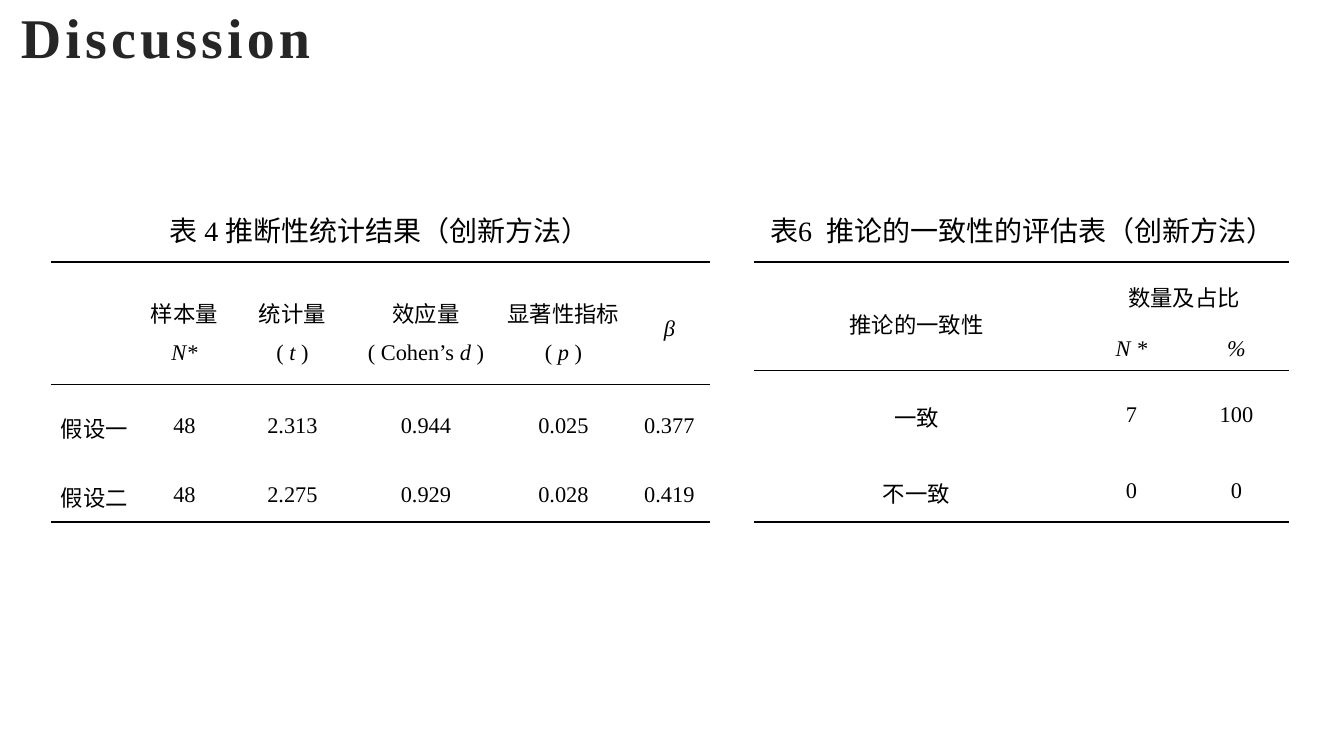
from lxml.etree import SubElement
from pptx import Presentation
from pptx.dml.color import RGBColor
from pptx.enum.text import MSO_ANCHOR, PP_ALIGN
from pptx.oxml.ns import qn
from pptx.util import Pt

EMU_PER_PX = 914400 / 100.8
TITLE_COLOR = RGBColor(0x26, 0x26, 0x26)
TEXT_COLOR = RGBColor(0x00, 0x00, 0x00)
RULE_COLOR = RGBColor(0x00, 0x00, 0x08)


def px(length):
    """Turn pixels into EMU."""
    return round(length * EMU_PER_PX)


class SlideBuilder:
    """Hold the style and the current slide."""

    font_name = "Times New Roman"

    def __init__(self, slide):
        """Keep the slide that is being built."""
        self.slide = slide

    def style(self, paragraph, size, color, bold=False):
        """Set the font of a whole paragraph."""
        paragraph.font.name = self.font_name
        paragraph.font.size = Pt(size)
        paragraph.font.bold = bold
        paragraph.font.color.rgb = color

    def text(self, box, words, size, color=TEXT_COLOR, align=PP_ALIGN.CENTER,
             bold=False, spacing=0):
        """Add a one-line text box, with letter spacing in points."""
        shape = self.slide.shapes.add_textbox(*map(px, box))
        frame = shape.text_frame
        frame.word_wrap = True
        frame.vertical_anchor = MSO_ANCHOR.MIDDLE
        paragraph = frame.paragraphs[0]
        paragraph.alignment = align
        self.style(paragraph, size, color, bold)
        run = paragraph.add_run()
        run.text = words
        if spacing:
            run._r.get_or_add_rPr().set("spc", str(spacing * 100))

    def borders(self, cell, top, bottom):
        """Draw the rules above and below a cell and clear its sides."""
        properties = cell._tc.get_or_add_tcPr()
        for side, width in (("L", 0), ("R", 0), ("T", top), ("B", bottom)):
            line = SubElement(properties, qn(f"a:ln{side}"), w=str(Pt(width)))
            if width:
                fill = SubElement(line, qn("a:solidFill"))
                SubElement(fill, qn("a:srgbClr"), val=str(RULE_COLOR))
            else:
                SubElement(line, qn("a:noFill"))

    def cell(self, cell, words):
        """Fill a cell; text between underscores is italic."""
        cell.margin_left = cell.margin_right = px(7)
        cell.margin_top = cell.margin_bottom = 0
        cell.vertical_anchor = MSO_ANCHOR.MIDDLE
        cell.fill.background()
        frame = cell.text_frame
        for index, line in enumerate(words.split("\n")):
            paragraph = frame.add_paragraph() if index else frame.paragraphs[0]
            paragraph.alignment = PP_ALIGN.CENTER
            paragraph.line_spacing = 1.5
            self.style(paragraph, 16, TEXT_COLOR)
            for position, part in enumerate(line.split("_")):
                if part:
                    run = paragraph.add_run()
                    run.text = part
                    run.font.italic = position % 2 == 1

    def table(self, left, top, widths, heights, rows, header_rows, merges=()):
        """Add a three-rule table."""
        frame = self.slide.shapes.add_table(
            len(heights), len(widths), px(left), px(top),
            px(sum(widths)), px(sum(heights)))
        table = frame.table
        table.first_row = table.horz_banding = False
        for column, width in zip(table.columns, widths):
            column.width = px(width)
        for row, height in zip(table.rows, heights):
            row.height = px(height)
        for first, last in merges:
            table.cell(*first).merge(table.cell(*last))
        rules = {0: 1.5, header_rows: 0.5, len(heights): 1.5}
        for row, values in enumerate(rows):
            for column, words in enumerate(values):
                cell = table.cell(row, column)
                self.borders(cell, rules.get(row, 0),
                             rules.get(row + cell.span_height, 0))
                self.cell(cell, words)


def main():
    """Build the slide and save it."""
    presentation = Presentation()
    presentation.slide_width = px(1344)
    presentation.slide_height = px(756)
    builder = SlideBuilder(
        presentation.slides.add_slide(presentation.slide_layouts[6]))

    builder.text((11, 0, 330, 72), "Discussion", 40, TITLE_COLOR,
                 PP_ALIGN.LEFT, bold=True, spacing=3)
    builder.text((145, 206, 470, 48), "表 4 推断性统计结果（创新方法）", 20)
    builder.text((735, 206, 575, 49), "表6  推论的一致性的评估表（创新方法）", 20)

    builder.table(
        51, 262, (87, 93, 123, 144, 131, 81), (122, 71, 67),
        (("", "样本量_N*_", "统计量\n( _t _)", "效应量\n( Cohen’s _d _)",
          "显著性指标( _p _)", "_β_"),
         ("假设一", "48", "2.313", "0.944", "0.025", "0.377"),
         ("假设二", "48", "2.275", "0.929", "0.028", "0.419")),
        header_rows=1)
    builder.table(
        754, 262, (325, 105, 105), (54, 54, 78, 74),
        (("推论的一致性", "数量及占比", ""),
         ("", "_N *_", "_%_"),
         ("一致", "7", "100"),
         ("不一致", "0", "0")),
        header_rows=2, merges=(((0, 0), (1, 0)), ((0, 1), (0, 2))))

    presentation.save("out.pptx")


if __name__ == "__main__":
    main()
